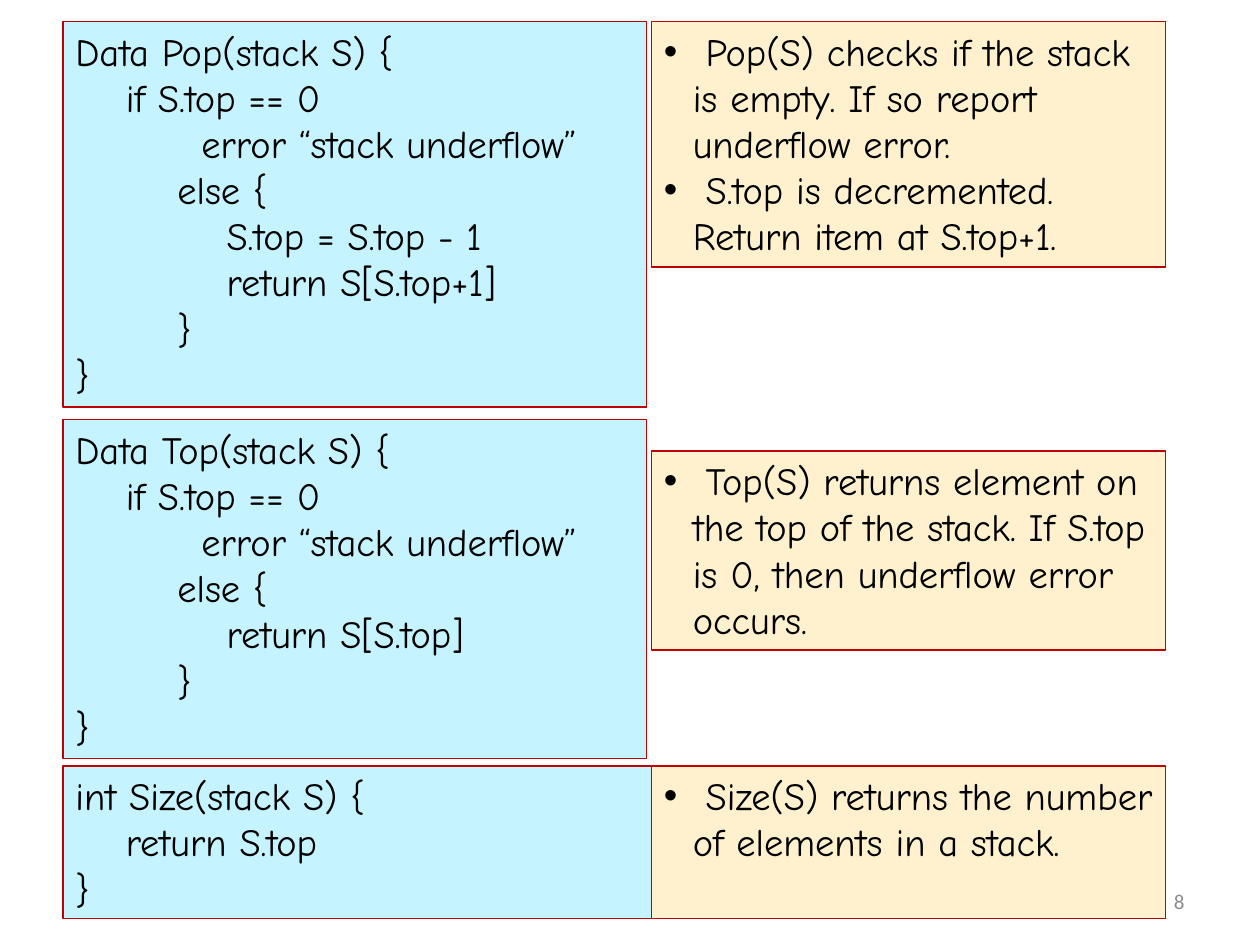
from dataclasses import dataclass
from lxml import etree
from pptx import Presentation
from pptx.dml.color import RGBColor as Rgb
from pptx.enum.shapes import MSO_SHAPE as Shape
from pptx.enum.text import MSO_ANCHOR as Anchor, PP_ALIGN as Align
from pptx.oxml.ns import qn
from pptx.util import Inches, Pt


@dataclass(frozen=True)
class Theme:
    """Colours, fonts and sizes of the slide."""
    code: str = "C5F3FF"
    note: str = "FFF1CE"
    edge: str = "C00000"
    ink: str = "000000"
    grey: str = "8C8C8C"
    font: str = "Comic Neue"
    plain: str = "Calibri"
    size: int = 22
    small: int = 12
    hang: float = 0.23


class Board:
    """Draws code panels and notes on one slide."""

    def __init__(self, slide, theme):
        """Keep the slide and its style."""
        self.slide, self.theme = slide, theme

    def text(self, para, words, **style):
        """Add one styled run to a paragraph."""
        look = {"name": self.theme.font, "size": Pt(self.theme.size), **style}
        color = look.pop("color", self.theme.ink)
        run = para.add_run()
        run.text = words
        for key, value in look.items():
            setattr(run.font, key, value)
        run.font.color.rgb = Rgb.from_string(color)

    def panel(self, area, fill, lines):
        """Add a framed box; yield each paragraph with its line."""
        box = self.slide.shapes.add_shape(Shape.RECTANGLE, *map(Inches, area))
        box.shadow.inherit = False
        box.fill.solid()
        box.fill.fore_color.rgb = Rgb.from_string(fill)
        box.line.color.rgb = Rgb.from_string(self.theme.edge)
        box.line.width = Pt(0.75)
        frame = box.text_frame
        frame.word_wrap, frame.vertical_anchor = True, Anchor.TOP
        for i, line in enumerate(lines):
            para = frame.add_paragraph() if i else frame.paragraphs[0]
            para.alignment = Align.LEFT
            yield para, line

    def code(self, area, lines):
        """Add a code panel from (indent, words) lines."""
        for para, (indent, words) in self.panel(area, self.theme.code, lines):
            para._p.get_or_add_pPr().set("marL", str(Inches(indent)))
            self.text(para, words)

    def notes(self, area, items):
        """Add a panel of bulleted notes."""
        hang = Inches(self.theme.hang)
        for para, words in self.panel(area, self.theme.note, items):
            props = para._p.get_or_add_pPr()
            props.set("marL", str(hang))
            props.set("indent", str(-hang))
            etree.SubElement(props, qn("a:buFont")).set("typeface", "Arial")
            etree.SubElement(props, qn("a:buChar")).set("char", "•")
            self.text(para, " " + words)

    def number(self, area, words):
        """Add the page number."""
        frame = self.slide.shapes.add_textbox(*map(Inches, area)).text_frame
        frame.word_wrap, frame.vertical_anchor = True, Anchor.MIDDLE
        para = frame.paragraphs[0]
        para.alignment = Align.RIGHT
        self.text(para, words, name=self.theme.plain,
                  size=Pt(self.theme.small), color=self.theme.grey)


def guard(name, *body):
    """Give the lines of a function that checks for underflow."""
    return [(0, f"Data {name}(stack S) {{"), (0.4, "if S.top == 0"),
            (1, "error “stack underflow”"), (0.81, "else {"),
            *((1.2, line) for line in body), (0.81, "}"), (0, "}")]


LEFT, RIGHT, WIDE, SIDE = 0.5, 5.17, 4.63, 4.08

deck = Presentation()
deck.slide_width, deck.slide_height = Inches(10), Inches(7.5)
board = Board(deck.slides.add_slide(deck.slide_layouts[6]), Theme())

board.number((7.17, 6.95, 2.33, 0.4), "8")
board.code((LEFT, 0.17, WIDE, 3.06),
           guard("Pop", "S.top = S.top - 1", "return S[S.top+1]"))
board.notes((RIGHT, 0.17, SIDE, 1.95), [
    "Pop(S) checks if the stack is empty. If so report underflow error.",
    "S.top is decremented. Return item at S.top+1."])
board.code((LEFT, 3.33, WIDE, 2.69), guard("Top", "return S[S.top]"))
board.code((LEFT, 6.08, RIGHT - LEFT, 1.21), [
    (0, "int Size(stack S) {"), (0.4, "return S.top"), (0, "}")])
board.notes((RIGHT, 3.58, SIDE, 1.58), [
    "Top(S) returns element on the top of the stack. "
    "If S.top is 0, then underflow error occurs."])
board.notes((RIGHT, 6.08, SIDE, 1.21), [
    "Size(S) returns the number of elements in a stack."])

deck.save("out.pptx")
